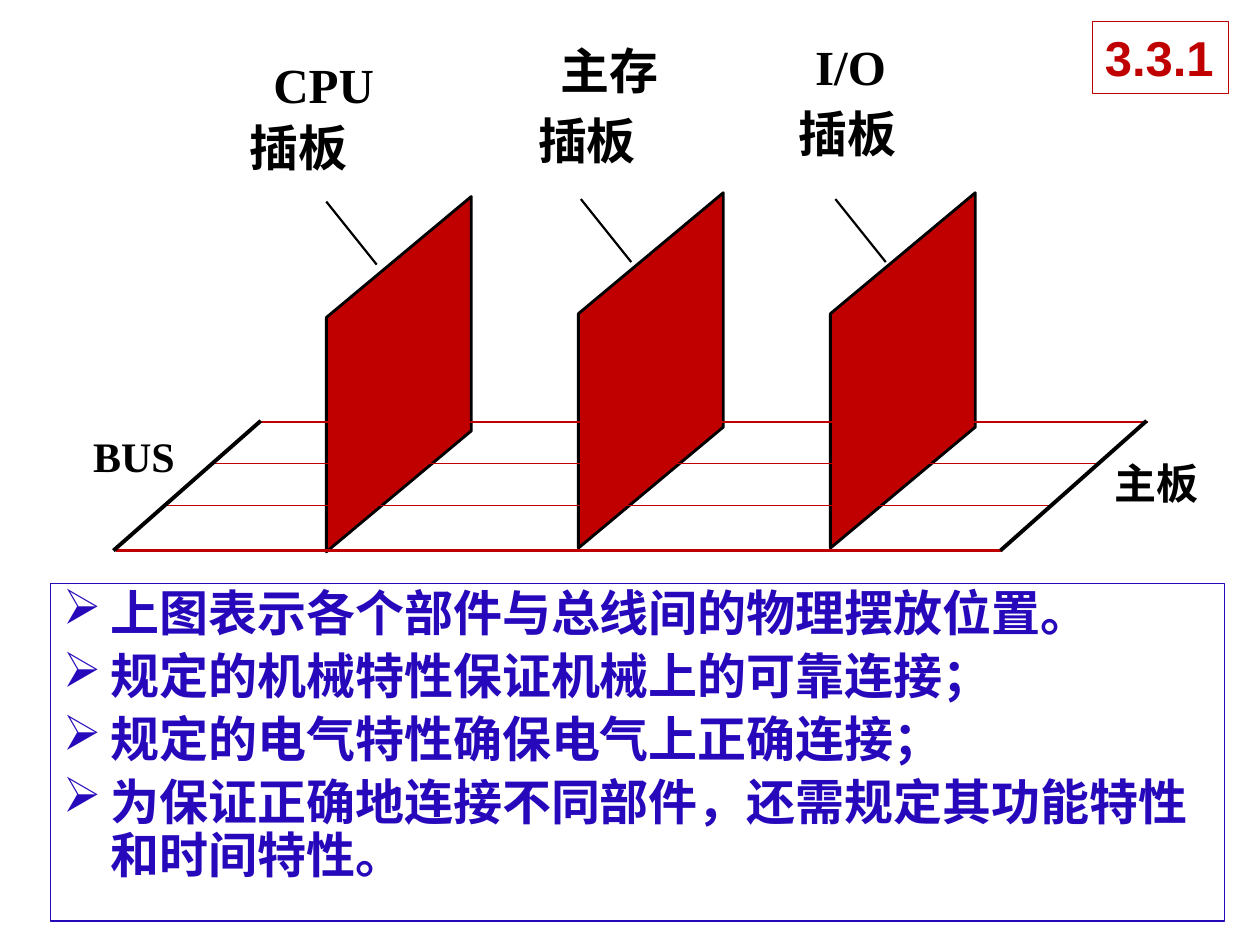
from lxml.etree import SubElement
from pptx import Presentation
from pptx.dml.color import RGBColor
from pptx.enum.shapes import MSO_CONNECTOR, MSO_SHAPE
from pptx.enum.text import MSO_ANCHOR, PP_ALIGN
from pptx.oxml.ns import qn
from pptx.util import Inches, Pt

RED = "C00000"
BLUE = "2709BB"
BLACK = "000000"
WHITE = "FFFFFF"
CHINESE = "Noto Sans CJK SC"
SERIF = "Times New Roman"
POINTS = [
    "上图表示各个部件与总线间的物理摆放位置。",
    "规定的机械特性保证机械上的可靠连接；",
    "规定的电气特性确保电气上正确连接；",
    "为保证正确地连接不同部件，还需规定其功能特性和时间特性。",
]


def color(value):
    """Turn a hex string into a colour."""
    return RGBColor.from_string(value)


def style_shape(shape, fill, line, width):
    """Set the fill and outline of a shape and drop its shadow."""
    shape.shadow.inherit = False
    shape.fill.solid()
    shape.fill.fore_color.rgb = color(fill)
    shape.line.color.rgb = color(line)
    shape.line.width = Pt(width)


def write(para, text, *, size=28, font=SERIF, ink=BLACK):
    """Add one bold span of text to a paragraph."""
    span = para.add_run()
    span.text = text
    span.font.size = Pt(size)
    span.font.bold = True
    span.font.name = font
    span.font.color.rgb = color(ink)
    SubElement(span.font._element, qn("a:ea"), typeface=CHINESE)


def add_label(page, text, left, top, width, height=0.47, *, inset=0, **style):
    """Add a one-line text box."""
    box = page.shapes.add_textbox(Inches(left), Inches(top), Inches(width), Inches(height))
    frame = box.text_frame
    frame.word_wrap = False
    frame.margin_left = frame.margin_right = Inches(inset)
    frame.margin_top = frame.margin_bottom = Inches(inset / 2)
    write(frame.paragraphs[0], text, **style)


def add_line(page, start, end, ink, width):
    """Draw a straight line between two points."""
    line = page.shapes.add_connector(MSO_CONNECTOR.STRAIGHT, *map(Inches, start + end))
    line.line.color.rgb = color(ink)
    line.line.width = Pt(width)
    SubElement(line._element.spPr, qn("a:effectLst"))


def add_panel(page, left, top, width, height, line):
    """Add a white outlined rectangle and return its text frame."""
    panel = page.shapes.add_shape(
        MSO_SHAPE.RECTANGLE, Inches(left), Inches(top), Inches(width), Inches(height)
    )
    style_shape(panel, WHITE, line, 0.75)
    panel.text_frame.vertical_anchor = MSO_ANCHOR.TOP
    return panel.text_frame


def add_board(page, left, top):
    """Draw a slanted plug-in board."""
    right = left + 1.15
    corners = [(right, top), (right, top + 1.86), (left, top + 2.82)]
    builder = page.shapes.build_freeform(Inches(left), Inches(top + 0.96), scale=1.0)
    builder.add_line_segments([(Inches(x), Inches(y)) for x, y in corners], close=True)
    style_shape(builder.convert_to_shape(), RED, BLACK, 1.63)


def add_bullet(para, text):
    """Fill a paragraph as an arrow-bulleted point."""
    para.alignment = PP_ALIGN.LEFT
    para.line_spacing = 0.9
    para.space_before = Pt(5.6)
    properties = para._p.get_or_add_pPr()
    properties.set("marL", str(Inches(0.38)))
    properties.set("indent", str(Inches(-0.38)))
    SubElement(SubElement(properties, qn("a:buClr")), qn("a:srgbClr"), val=BLUE)
    SubElement(properties, qn("a:buChar"), char="➢")
    write(para, text, font=CHINESE, ink=BLUE)


def add_points(page):
    """Add the framed list of points."""
    frame = add_panel(page, 0.4, 4.63, 9.32, 2.68, BLUE)
    frame.word_wrap = True
    for index, text in enumerate(POINTS):
        add_bullet(frame.paragraphs[0] if index == 0 else frame.add_paragraph(), text)


def add_boards(page):
    """Add the three boards with their names and leader lines."""
    boards = [
        ("CPU", (2.17, 0.43, 0.8), (1.98, 0.93), (2.59, 1.56), (2.59, 1.6)),
        ("主存", (4.45, 0.32, 0.79), (4.27, 0.88), (4.59, 1.53), (4.61, 1.58)),
        ("I/O", (6.47, 0.29, 0.57), (6.34, 0.82), (6.59, 1.53), (6.63, 1.58)),
    ]
    for name, name_place, suffix_place, corner, leader in boards:
        add_label(page, name, *name_place)
        add_label(page, "插板", *suffix_place, 0.78, font="Arial")
        add_board(page, *corner)
        add_line(page, leader, (leader[0] + 0.4, leader[1] + 0.5), BLACK, 1.25)


def add_bus(page):
    """Draw the mainboard with its bus lines and labels."""
    bus_lines = [(2.05, 9.11, 3.35), (1.69, 8.73, 3.68), (1.32, 8.35, 4.01)]
    for left, right, y in bus_lines:
        add_line(page, (left, y), (right, y), RED, 0.75)
    add_line(page, (0.92, 4.37), (7.95, 4.37), RED, 1.63)
    for top, bottom in [(2.07, 0.9), (9.1, 7.94)]:
        add_line(page, (top, 3.34), (bottom, 4.37), BLACK, 2.25)
    add_label(page, "BUS", 0.64, 3.37, 0.85, 0.5, inset=0.1, size=24)
    add_label(page, "主板", 8.75, 3.58, 0.87, 0.5, inset=0.1, size=24)


def add_section_number(page):
    """Add the framed section number."""
    frame = add_panel(page, 8.67, 0.17, 1.08, 0.57, RED)
    frame.word_wrap = False
    frame.paragraphs[0].alignment = PP_ALIGN.LEFT
    write(frame.paragraphs[0], "3.3.1", font="Arial", ink=RED)


def main():
    """Build the slide and save the deck."""
    deck = Presentation()
    deck.slide_width, deck.slide_height = Inches(10), Inches(7.5)
    page = deck.slides.add_slide(deck.slide_layouts[6])
    add_points(page)
    add_boards(page)
    add_bus(page)
    add_section_number(page)
    deck.save("out.pptx")


if __name__ == "__main__":
    main()
